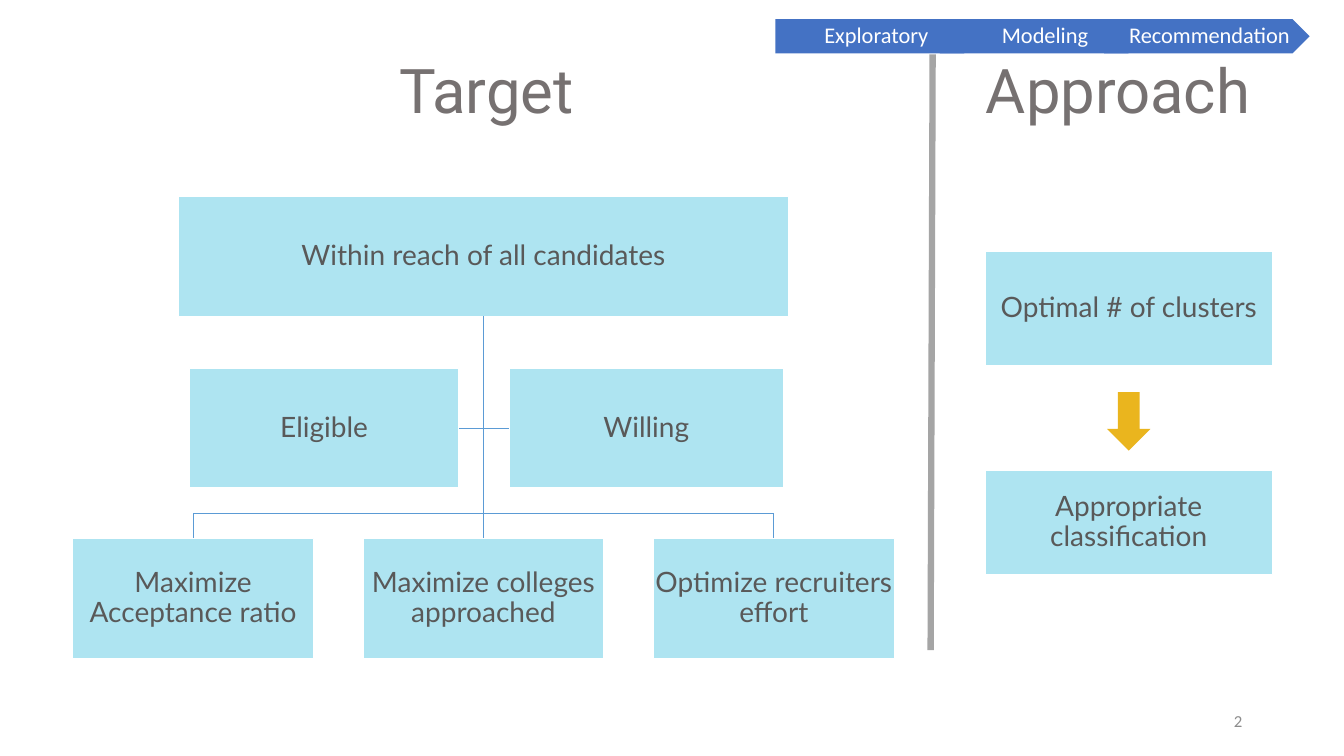
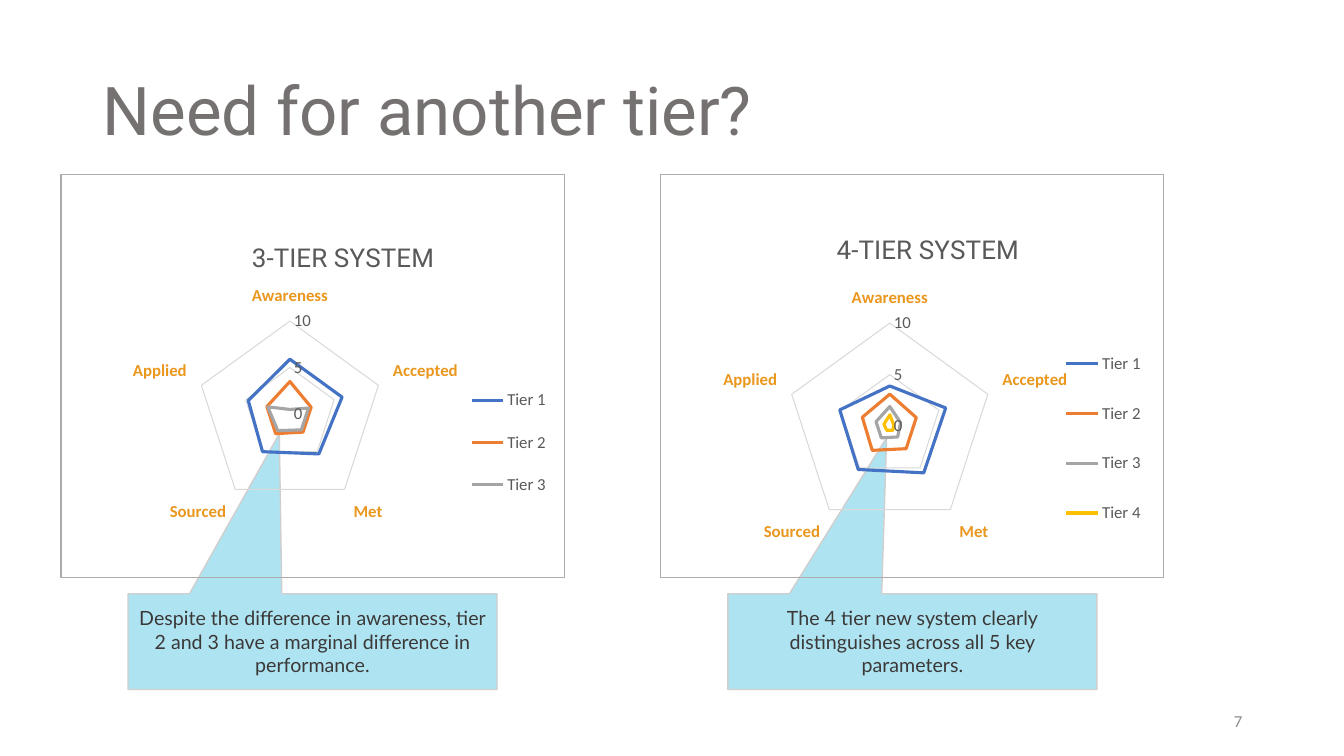
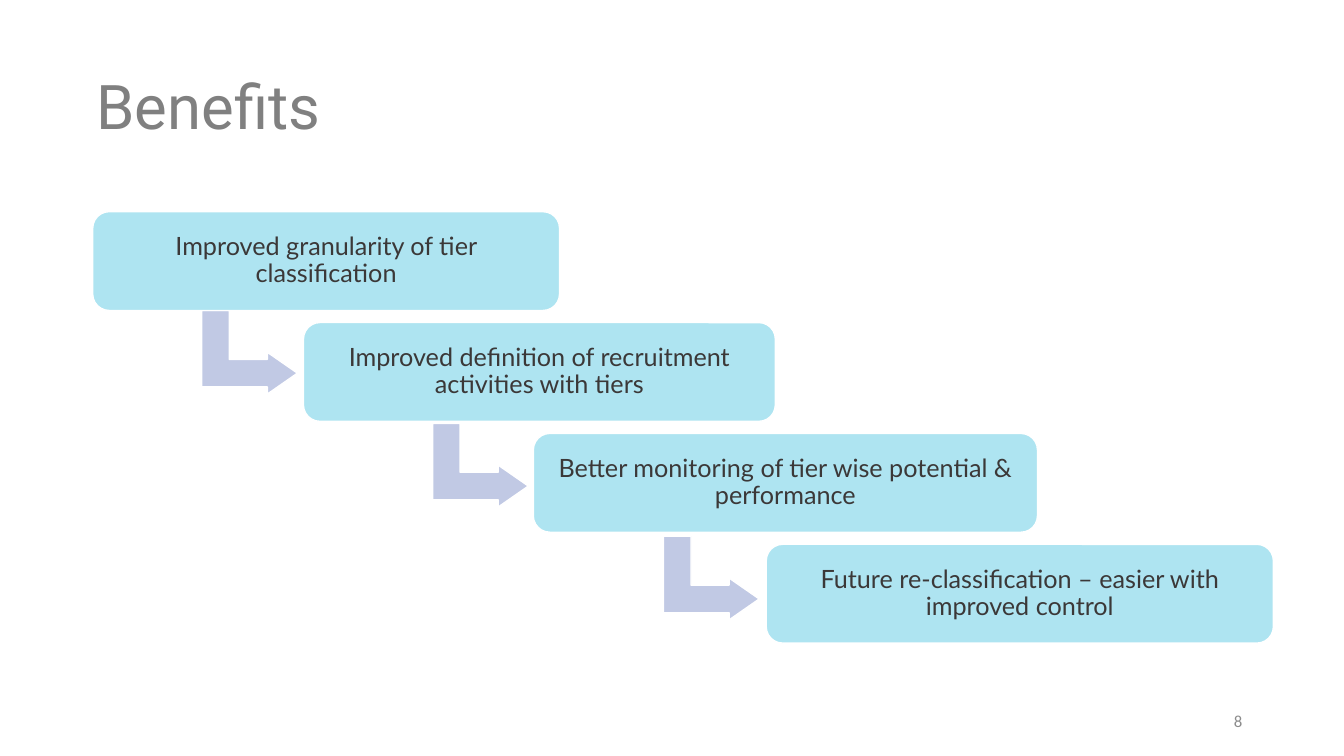
from dataclasses import dataclass

from lxml.etree import SubElement
from pptx import Presentation
from pptx.chart.data import CategoryChartData as Data
from pptx.dml.color import RGBColor as Rgb
from pptx.enum.chart import XL_CHART_TYPE as Kind, XL_LEGEND_POSITION as Spot, XL_TICK_MARK as Tick
from pptx.enum.shapes import MSO_CONNECTOR as Link, MSO_SHAPE as Form
from pptx.enum.text import MSO_ANCHOR as Anchor, PP_ALIGN as Align
from pptx.oxml import parse_xml
from pptx.oxml.ns import nsdecls, qn
from pptx.util import Inches, Pt

AQUA, WHITE, GREY, DARK, DUSK = "17B4D9", "FFFFFF", "595959", "3B3838", "767171"
BLUE, PALE, EDGE = "4472C4", "D9D9D9", "AFABAB"
TINTS = [BLUE, "ED7D31", "A5A5A5", "FFC000"]
TOPICS = ["Awareness", "Accepted", "Met", "Sourced", "Applied"]


@dataclass
class Box:
    left: float
    top: float
    wide: float
    high: float


@dataclass
class Style:
    size: float
    color: str
    font: str = "Lato"
    align: Align = Align.CENTER
    space: float = 0.9
    pads: tuple = (0.01, 0.01, 0.01, 0.01)


@dataclass
class Radar:
    left: float
    title: str
    ring: str
    head: tuple
    plot: tuple
    key: tuple
    rows: list
    note: str
    tip: tuple


NODE = Style(20, GREY)
STEP = Style(18, DARK, pads=(0.12, 0.12, 0.12, 0.12))
NOTE = Style(14, DARK, space=1, pads=(0.1, 0.05, 0.1, 0.05))
STAGE = Style(16, WHITE, "Calibri", pads=(0.07, 0.05, 0.02, 0.05))
PAGE = Style(12, "8C8C8C", "Calibri", Align.RIGHT, 1, (0.1, 0.05, 0.1, 0.05))

RADARS = [
    Radar(0.6, "3-TIER SYSTEM", PALE, (0.37, 0.15), (0.27, 0.31, 0.37, 0.57),
          (0.8, 0.48, 0.18, 0.37),
          [(5.9, 5.9, 5.3, 5, 4.7), (3.5, 2.4, 2.4, 2.6, 2.6), (0.5, 2.1, 2.1, 2.2, 2.5)],
          "Despite the difference in awareness, tier 2 and 3 have a marginal "
          "difference in performance.", (-0.09, -2.17)),
    Radar(6.55, "4-TIER SYSTEM", EDGE, (0.34, 0.13), (0.25, 0.34, 0.41, 0.57),
          (0.79, 0.37, 0.18, 0.57),
          [(3.9, 5.7, 5.6, 5.2, 5.1), (3.1, 2.7, 2.7, 2.9, 2.8),
           (1.9, 1.1, 1.3, 1.4, 1.4), (1.1, 0.4, 0.5, 0.5, 0.6)],
          "The 4 tier new system clearly distinguishes across all 5 key parameters.",
          (-0.07, -2.13)),
]


def tint(code: str) -> Rgb:
    return Rgb.from_string(code)


def area(box: Box) -> list:
    return [Inches(n) for n in (box.left, box.top, box.wide, box.high)]


def write(shape, text: str, style: Style) -> None:
    frame = shape.text_frame
    frame.word_wrap = True
    frame.vertical_anchor = Anchor.MIDDLE
    (frame.margin_left, frame.margin_top,
     frame.margin_right, frame.margin_bottom) = [Inches(n) for n in style.pads]
    para = frame.paragraphs[0]
    para.text = text
    para.alignment = style.align
    para.line_spacing = style.space
    ink(para.font, style.size, style.color, style.font)


def ink(font, size: float, color: str, name: str = "Calibri", bold: bool = False) -> None:
    font.size, font.name, font.bold = Pt(size), name, bold
    font.color.rgb = tint(color)


def label(slide, box: Box, text: str, style: Style) -> None:
    write(slide.shapes.add_textbox(*area(box)), text, style)


def title(slide, box: Box, text: str, size: float = 44, color: str = DUSK) -> None:
    label(slide, box, text, Style(size, color, "Roboto", Align.LEFT, pads=(0.1, 0.05, 0.1, 0.05)))


def draw(slide, form: Form, box: Box, fill: str, edge: str = "", alpha: int = 100):
    shape = slide.shapes.add_shape(form, *area(box))
    shape.shadow.inherit = False
    shape.fill.solid()
    shape.fill.fore_color.rgb = tint(fill)
    if alpha < 100:
        color = shape.element.spPr.find(".//" + qn("a:srgbClr"))
        SubElement(color, qn("a:alpha")).set("val", str(alpha * 1000))
    if edge:
        shape.line.color.rgb = tint(edge)
        shape.line.width = Pt(1)
    else:
        shape.line.fill.background()
    return shape


def panel(slide, box: Box, text: str, style: Style = NODE, form: Form = Form.RECTANGLE,
          edge: str = WHITE):
    shape = draw(slide, form, box, AQUA, edge, 35)
    write(shape, text, style)
    return shape


def line(slide, start: tuple, end: tuple, color: str = "5B9BD5", width: float = 0.5):
    wire = slide.shapes.add_connector(Link.STRAIGHT, *[Inches(n) for n in start + end])
    wire.line.color.rgb = tint(color)
    wire.line.width = Pt(width)
    SubElement(wire.element.spPr, qn("a:effectLst"))
    return wire


def place(chart, tag: str, spot: tuple) -> None:
    node = chart.element.find(".//" + qn(tag))
    for old in node.findall(qn("c:layout")):
        node.remove(old)
    inner = '<c:layoutTarget val="inner"/>' if tag == "c:plotArea" else ""
    modes = '<c:xMode val="edge"/><c:yMode val="edge"/>'
    sizes = "".join(f'<c:{name} val="{n}"/>' for name, n in zip("xywh", spot))
    layout = parse_xml(f'<c:layout {nsdecls("c")}><c:manualLayout>{inner}{modes}{sizes}'
                       '</c:manualLayout></c:layout>')
    over = node.find(qn("c:overlay"))
    if over is None:
        node.insert(0, layout)
    else:
        over.addprevious(layout)


def stroke(line, color: str, width: float) -> None:
    line.color.rgb = tint(color)
    line.width = Pt(width)


def plot(slide, radar: Radar) -> None:
    data = Data()
    data.categories = TOPICS
    for rank, row in enumerate(radar.rows, 1):
        data.add_series(f"Tier {rank}", row)
    chart = slide.shapes.add_chart(Kind.RADAR, *area(Box(radar.left, 1.73, 5, 4)), data).chart
    ink(chart.font, 10, "000000")
    chart.has_title = True
    para = chart.chart_title.text_frame.paragraphs[0]
    para.text = radar.title
    ink(para.font, 18.6, GREY, "Roboto")
    chart.has_legend = True
    chart.legend.position = Spot.RIGHT
    chart.legend.include_in_layout = False
    ink(chart.legend.font, 12, GREY)
    for tag, spot in (("c:title", radar.head), ("c:plotArea", radar.plot), ("c:legend", radar.key)):
        place(chart, tag, spot)
    chart.plots[0].vary_by_categories = False
    for row, color in zip(chart.plots[0].series, TINTS):
        row.smooth = False
        stroke(row.format.line, color, 2.25)
    names, scale = chart.category_axis, chart.value_axis
    for axis in (names, scale):
        axis.major_tick_mark = axis.minor_tick_mark = Tick.NONE
    names.has_major_gridlines = False
    stroke(names.format.line, radar.ring, 0.75)
    ink(names.tick_labels.font, 12, "EA971E", bold=True)
    scale.minimum_scale, scale.maximum_scale, scale.major_unit = 0, 10, 5
    stroke(scale.major_gridlines.format.line, PALE, 0.75)
    scale.format.line.fill.background()
    ink(scale.tick_labels.font, 12, GREY)
    chart.element.find(qn("c:chart")).addnext(parse_xml(
        f'<c:spPr {nsdecls("c", "a")}><a:noFill/><a:ln w="{Pt(0.75)}"><a:solidFill>'
        f'<a:srgbClr val="{EDGE}"/></a:solidFill></a:ln></c:spPr>'))


def target(slide) -> None:
    title(slide, Box(3.86, 0.2, 3, 1.45), "Target")
    title(slide, Box(9.68, 0.2, 3.2, 1.45), "Approach")
    root = panel(slide, Box(1.77, 1.95, 6.05, 1.19), "Within reach of all candidates")
    able = panel(slide, Box(1.88, 3.65, 2.67, 1.19), "Eligible")
    keen = panel(slide, Box(5.05, 3.65, 2.72, 1.19), "Willing")
    goals = ["Maximize Acceptance ratio", "Maximize colleges approached", "Optimize recruiters effort"]
    leaves = [panel(slide, Box(0.72 + 2.88 * i, 5.34, 2.39, 1.19), goal)
              for i, goal in enumerate(goals)]
    mids = [0.72 + 2.88 * i + 2.39 / 2 for i in range(3)]
    trunk = line(slide, (mids[1], 3.14), (mids[1], 5.34))
    trunk.begin_connect(root, 2)
    trunk.end_connect(leaves[1], 0)
    cross = line(slide, (4.55, 4.25), (5.05, 4.25))
    cross.begin_connect(able, 3)
    cross.end_connect(keen, 1)
    line(slide, (mids[0], 5.09), (mids[2], 5.09))
    for i in (0, 2):
        line(slide, (mids[i], 5.09), (mids[i], 5.34)).end_connect(leaves[i], 0)
    line(slide, (9.25, 0.54), (9.23, 6.45), "A5A5A5", 4.5)
    panel(slide, Box(9.77, 2.49, 2.85, 1.14), "Optimal # of clusters")
    panel(slide, Box(9.77, 4.67, 2.85, 1.03), "Appropriate classification")
    draw(slide, Form.DOWN_ARROW, Box(10.98, 3.89, 0.43, 0.58), "EAB51E")
    for i, name in enumerate(["Exploratory", "Modeling", "Recommendation"]):
        form = Form.CHEVRON if i else Form.PENTAGON
        write(draw(slide, form, Box(7.69 + 1.63 * i, 0.19, 2.04, 0.34), BLUE), name, STAGE)


def tiers(slide) -> None:
    title(slide, Box(0.92, 0.4, 11.5, 1.45), "Need for another tier?", 48)
    for radar in RADARS:
        box = Box(radar.left + 0.67, 5.89, 3.66, 0.95)
        note = panel(slide, box, radar.note, NOTE, Form.RECTANGULAR_CALLOUT, "D0CECE")
        note.adjustments[0], note.adjustments[1] = radar.tip
        plot(slide, radar)


def gains(slide) -> None:
    title(slide, Box(0.86, 0.36, 11.5, 1.45), "Benefits", color="808080")
    steps = [
        (0.92, 4.63, "Improved granularity of tier classification"),
        (3.01, 4.68, "Improved definition of recruitment activities with tiers"),
        (5.29, 5, "Better monitoring of tier wise potential & performance"),
        (7.6, 5.03, "Future re-classification – easier with improved control"),
    ]
    for i, (left, wide, text) in enumerate(steps):
        if i < len(steps) - 1:
            box = Box(2.06 + 2.29 * i, 3.02 + 1.12 * i, 0.83, 0.95)
            arrow = draw(slide, Form.BENT_UP_ARROW, box, "C1C9E4", WHITE)
            arrow.rotation = 90
            for j, size in enumerate((0.33, 0.25, 0.36)):
                arrow.adjustments[j] = size
        panel(slide, Box(left, 2.1 + 1.1 * i, wide, 0.98), text, STEP, Form.ROUNDED_RECTANGLE)


def main() -> None:
    deck = Presentation()
    deck.slide_width, deck.slide_height = Inches(13.33), Inches(7.5)
    for page, build in ((2, target), (7, tiers), (8, gains)):
        slide = deck.slides.add_slide(deck.slide_layouts[6])
        build(slide)
        label(slide, Box(9.42, 6.95, 3, 0.4), str(page), PAGE)
    deck.save("out.pptx")


if __name__ == "__main__":
    main()
